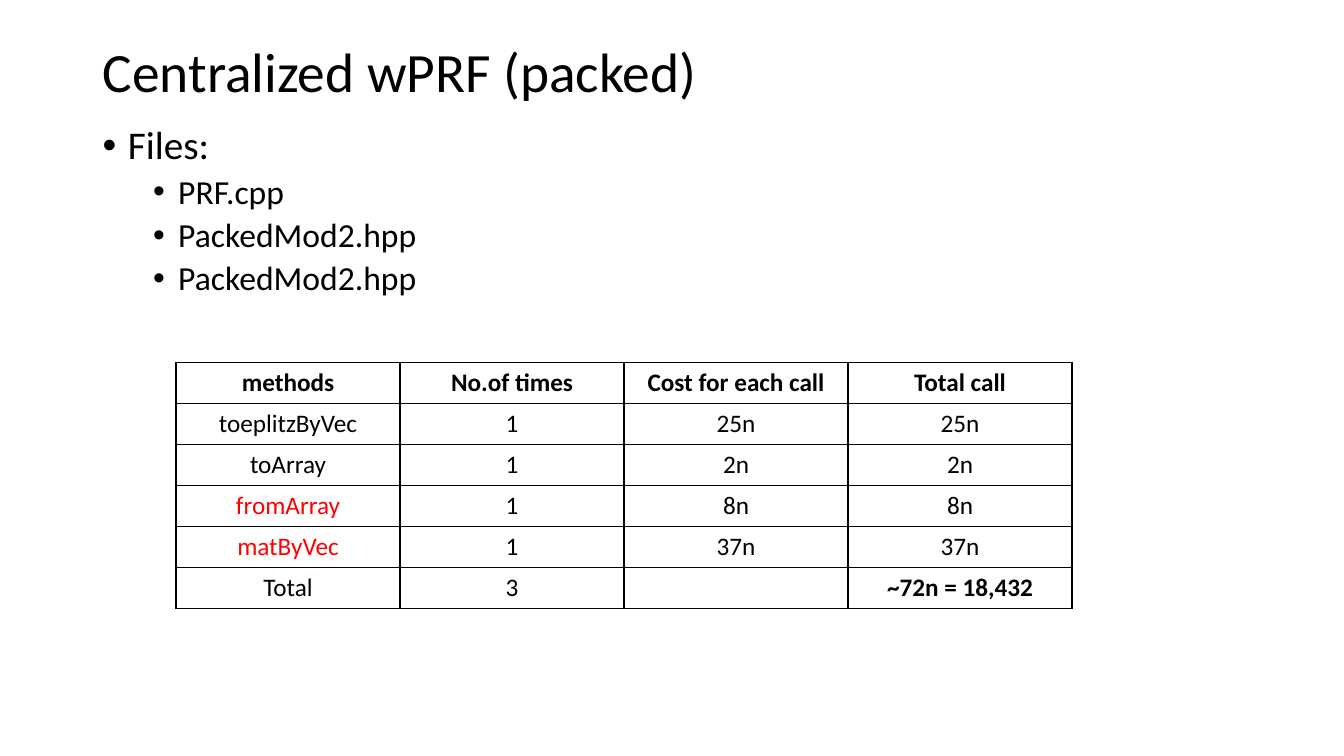
from lxml.etree import SubElement
from pptx import Presentation
from pptx.dml.color import RGBColor
from pptx.enum.text import MSO_ANCHOR, MSO_AUTO_SIZE, PP_ALIGN
from pptx.oxml.ns import qn
from pptx.util import Inches, Pt

BLACK = RGBColor(0x00, 0x00, 0x00)
RED = RGBColor(0xFF, 0x00, 0x00)
FONT = "Calibri"

PAGE_WIDTH = Inches(13.33)
PAGE_HEIGHT = Inches(7.5)
COLUMN = PAGE_WIDTH / 12
ROW = PAGE_HEIGHT * 0.054
TEXT_LEFT = PAGE_WIDTH * 0.069
TEXT_WIDTH = PAGE_WIDTH * 0.863

FILES = ["PRF.cpp", "PackedMod2.hpp", "PackedMod2.hpp"]
COSTS = [
    ["methods", "No.of times", "Cost for each call", "Total call"],
    ["toeplitzByVec", "1", "25n", "25n"],
    ["toArray", "1", "2n", "2n"],
    ["fromArray", "1", "8n", "8n"],
    ["matByVec", "1", "37n", "37n"],
    ["Total", "3", "", "~72n = 18,432"],
]
RED_METHODS = {"fromArray", "matByVec"}


def place(shape, left, top, width, height):
    shape.left, shape.top = int(left), int(top)
    shape.width, shape.height = int(width), int(height)


def style(para, size, color=BLACK, bold=False):
    para.font.name = FONT
    para.font.size = Pt(size)
    para.font.bold = bold
    para.font.color.rgb = color


def add_title(page, text):
    title = page.shapes.title
    place(title, TEXT_LEFT, PAGE_HEIGHT * 0.053, TEXT_WIDTH, PAGE_HEIGHT * 0.09)
    frame = title.text_frame
    frame.text = text
    frame.auto_size = MSO_AUTO_SIZE.NONE
    frame.vertical_anchor = MSO_ANCHOR.MIDDLE
    para = frame.paragraphs[0]
    para.alignment = PP_ALIGN.LEFT
    para.line_spacing = 0.9
    style(para, 39.6)


def add_bullet(para, text, level, size, space):
    para.text = text
    para.level = level
    para.line_spacing = 0.9
    para.space_before = Pt(space)
    properties = para._p.get_or_add_pPr()
    properties.set("marL", str(Inches(0.25 + 0.5 * level)))
    properties.set("indent", str(Inches(-0.25)))
    SubElement(properties, qn("a:buFont"), typeface="Arial")
    SubElement(properties, qn("a:buChar"), char="•")
    style(para, size)


def add_file_list(page, heading, files):
    box = page.shapes.add_textbox(0, 0, 0, 0)
    place(box, TEXT_LEFT, PAGE_HEIGHT * 0.16, TEXT_WIDTH, PAGE_HEIGHT * 0.741)
    frame = box.text_frame
    frame.word_wrap = True
    frame.auto_size = MSO_AUTO_SIZE.NONE
    add_bullet(frame.paragraphs[0], heading, 0, 28, 10)
    for name in files:
        add_bullet(frame.add_paragraph(), name, 1, 24, 5)


def add_borders(cell):
    properties = cell._tc.get_or_add_tcPr()
    for side in ("a:lnL", "a:lnR", "a:lnT", "a:lnB"):
        line = SubElement(properties, qn(side), w=str(Pt(1)))
        fill = SubElement(line, qn("a:solidFill"))
        SubElement(fill, qn("a:srgbClr"), val=str(BLACK))


def fill_cell(cell, text, color, bold):
    add_borders(cell)
    cell.fill.background()
    cell.text = text
    para = cell.text_frame.paragraphs[0]
    para.alignment = PP_ALIGN.CENTER
    style(para, 18, color, bold)


def add_cost_table(page, rows):
    row_count, column_count = len(rows), len(rows[0])
    frame = page.shapes.add_table(
        row_count, column_count,
        int(PAGE_WIDTH * 0.131), int(PAGE_HEIGHT * 0.48),
        int(2 * COLUMN * column_count), int(ROW * row_count),
    )
    table = frame.table
    table.first_row = False
    table.horz_banding = False
    for row_index, row in enumerate(rows):
        for column_index, text in enumerate(row):
            is_grand_total = (row_index, column_index) == (row_count - 1, column_count - 1)
            fill_cell(
                table.cell(row_index, column_index),
                text,
                RED if text in RED_METHODS else BLACK,
                row_index == 0 or is_grand_total,
            )


def main():
    deck = Presentation()
    deck.slide_width = PAGE_WIDTH
    deck.slide_height = PAGE_HEIGHT
    page = deck.slides.add_slide(deck.slide_layouts.get_by_name("Title Only"))
    add_title(page, "Centralized wPRF (packed)")
    add_file_list(page, "Files:", FILES)
    add_cost_table(page, COSTS)
    deck.save("out.pptx")


if __name__ == "__main__":
    main()
